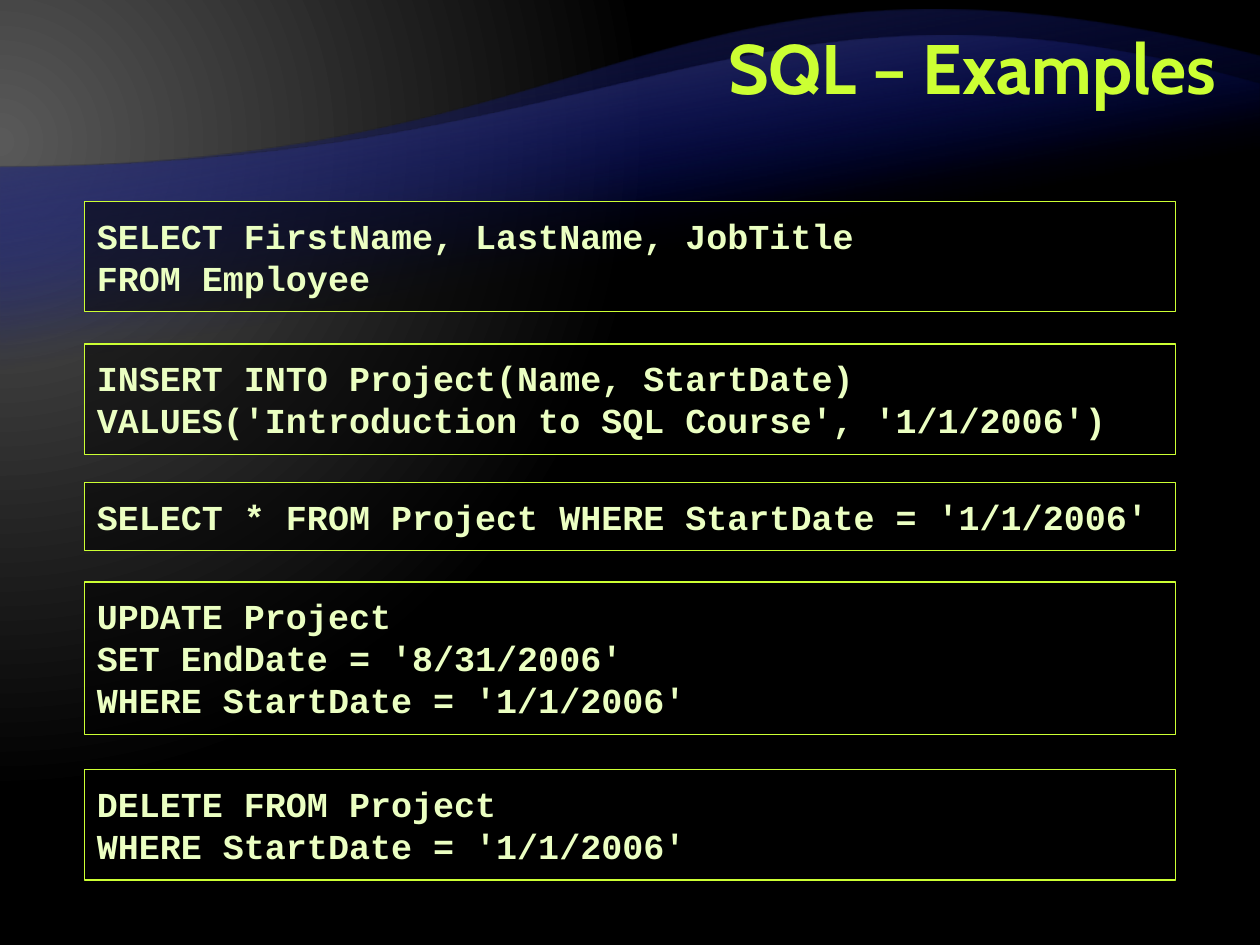
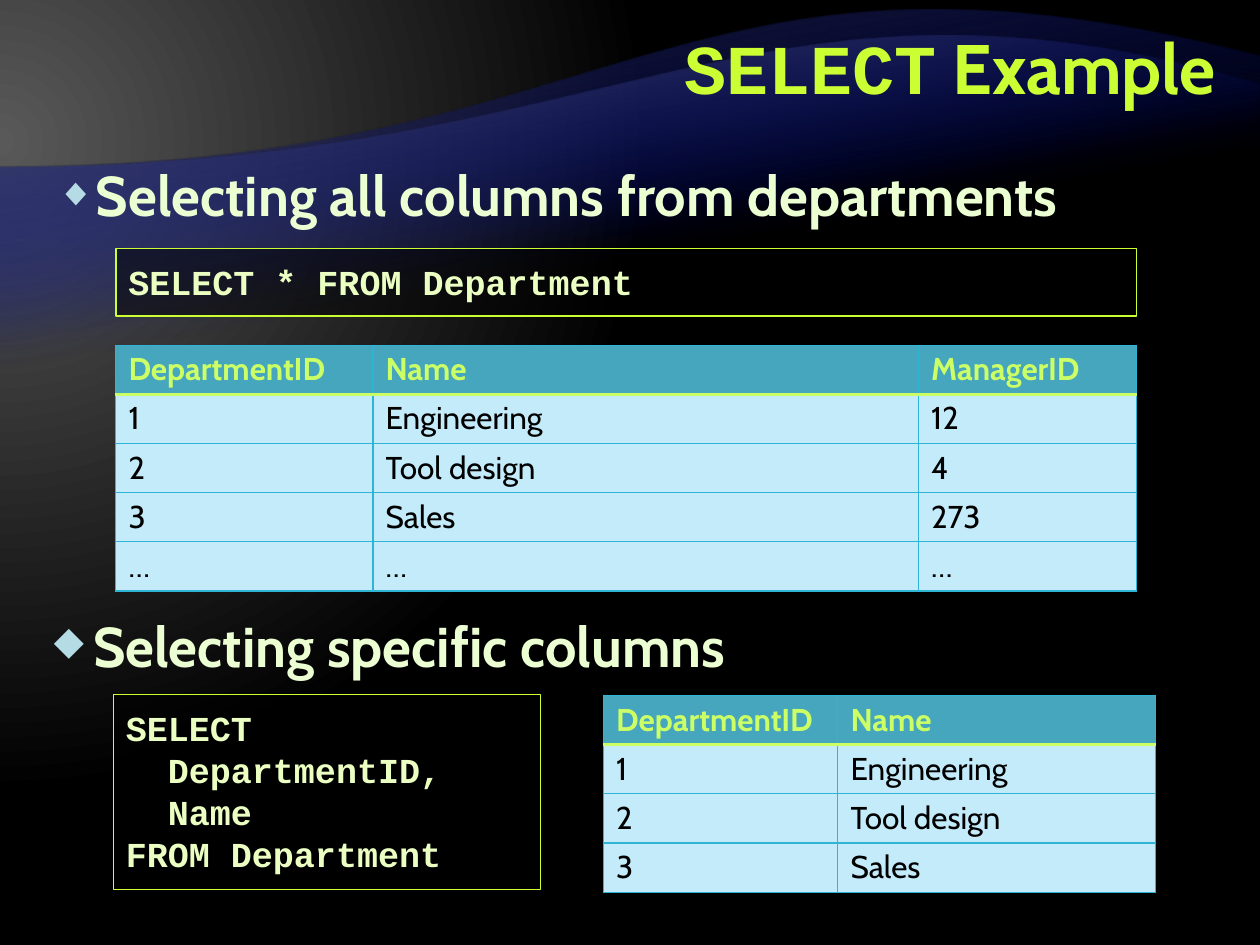
"""Build two slides on SQL statements with python-pptx."""
from lxml import etree
from pptx import Presentation
from pptx.dml.color import RGBColor
from pptx.enum.shapes import MSO_SHAPE
from pptx.enum.text import MSO_ANCHOR, MSO_AUTO_SIZE, PP_ALIGN
from pptx.oxml.ns import qn
from pptx.util import Inches, Pt

RECTANGLE = MSO_SHAPE.RECTANGLE
TOP, MIDDLE = MSO_ANCHOR.TOP, MSO_ANCHOR.MIDDLE
NO_AUTOFIT = MSO_AUTO_SIZE.NONE
LEFT, RIGHT = PP_ALIGN.LEFT, PP_ALIGN.RIGHT

SANS, MONO = "Cabin", "Courier New"
COLORS = {
    "black": "000000", "glow": "595959", "wave": "000D9E", "wave_edge": "262626",
    "title": "CCFF33", "body": "EBFFD2", "bullet": "B5DBE5", "code": "EBFFC2",
    "header": "46A6BD", "header_text": "CCFF66", "cell": "C4EBFA", "grid": "2EB5D5",
}
TITLE_ONLY, TITLE_AND_BODY = 5, 1
CURVE_STEPS = 60


def rgb(name):
    return RGBColor.from_string(COLORS[name])


def add_node(parent, tag, **attributes):
    node = etree.SubElement(parent, qn(tag))
    for key, value in attributes.items():
        node.set(key, str(value))
    return node


def add_color(parent, name, alpha=100):
    color = add_node(parent, "a:srgbClr", val=COLORS[name])
    if alpha < 100:
        add_node(color, "a:alpha", val=alpha * 1000)


def set_gradient(fill, owner, stops):
    """Give the fill these (position, colour, alpha) stops and return its element."""
    fill.gradient()
    gradient = owner.find(".//" + qn("a:gradFill"))
    for child in list(gradient):
        gradient.remove(child)
    stop_list = add_node(gradient, "a:gsLst")
    for position, color, alpha in stops:
        add_color(add_node(stop_list, "a:gs", pos=position * 1000), color, alpha)
    return gradient


def bezier(start, control_1, control_2, end):
    points = []
    for step in range(CURVE_STEPS + 1):
        t = step / CURVE_STEPS
        weights = ((1 - t) ** 3, 3 * t * (1 - t) ** 2, 3 * t * t * (1 - t), t ** 3)
        corners = (start, control_1, control_2, end)
        points.append(tuple(Inches(sum(w * c[axis] for w, c in zip(weights, corners)))
                            for axis in (0, 1)))
    return points


class Deck:
    """Holds the shared style and the current slide."""

    def __init__(self):
        self.prs = Presentation()
        self.prs.slide_width, self.prs.slide_height = Inches(10), Inches(7.5)
        self.slide = None

    def add_slide(self, layout):
        self.slide = self.prs.slides.add_slide(self.prs.slide_layouts[layout])

    def backdrop(self):
        master = self.prs.slide_master
        glow = set_gradient(master.background.fill, master.element,
                            [(0, "glow", 100), (83, "black", 100)])
        center = add_node(glow, "a:path", path="circle")
        add_node(center, "a:fillToRect", l=20000, t=30000, r=135000, b=100000)
        self.wave((5.34, -0.75), 0.45, 6.53, "wave_edge", 2)
        self.wave((5.98, -0.49), 0.67, 5.57, "glow", 3)

    def wave(self, control, right_y, bottom, edge, depth):
        """Draw one wave and move it to the master, behind everything else."""
        crest = bezier((0, 1.33), (5, 1.33), control, (10, right_y))
        builder = self.slide.shapes.build_freeform(*crest[0])
        base = [(Inches(10), Inches(bottom)), (0, Inches(bottom))]
        builder.add_line_segments(crest[1:] + base, close=True)
        wave = builder.convert_to_shape()
        wave.shadow.inherit = False
        wave.line.fill.background()
        gradient = set_gradient(wave.fill, wave.element,
                                [(65, "wave", 0), (100, edge, 100)])
        add_node(gradient, "a:lin", ang=260 * 60000, scaled=0)
        self.prs.slide_master.shapes.element.insert(depth, wave.element)

    def run(self, paragraph, text, size, color, font=SANS, bold=True):
        run = paragraph.add_run()
        run.text = text
        run.font.size, run.font.name, run.font.bold = Pt(size), font, bold
        run.font.color.rgb = rgb(color)

    def place(self, shape, left, top, width, height):
        shape.left, shape.top = Inches(left), Inches(top)
        shape.width, shape.height = Inches(width), Inches(height)

    def title(self, *parts):
        heading = self.slide.shapes.title
        self.place(heading, 2, 0.08, 7.75, 1)
        frame = heading.text_frame
        frame.auto_size, frame.vertical_anchor = NO_AUTOFIT, MIDDLE
        paragraph = frame.paragraphs[0]
        paragraph.alignment, paragraph.line_spacing = RIGHT, Pt(40)
        for text, font in parts:
            self.run(paragraph, text, 40, "title", font)

    def bullet(self, holder, text, left, top):
        self.place(holder, left, top, 9.29, 0.6)
        frame = holder.text_frame
        frame.word_wrap, frame.auto_size = True, NO_AUTOFIT
        paragraph = frame.paragraphs[0]
        properties = paragraph._p.get_or_add_pPr()
        properties.set("marL", str(Inches(0.31)))
        properties.set("indent", str(-Inches(0.31)))
        add_color(add_node(properties, "a:buClr"), "bullet")
        add_node(properties, "a:buSzPct", val=70000)
        add_node(properties, "a:buChar", char="◆")
        paragraph.line_spacing = Pt(38)
        paragraph.space_before, paragraph.space_after = Pt(0), Pt(6)
        self.run(paragraph, text, 32, "body")

    def bullet_box(self, text, left, top):
        box = self.slide.shapes.add_textbox(0, 0, 0, 0)
        self.bullet(box, text, left, top)

    def code(self, lines, left, top, width):
        height = 0.2 + 0.3375 * len(lines)
        box = self.slide.shapes.add_shape(
            RECTANGLE, Inches(left), Inches(top), Inches(width), Inches(height))
        box.shadow.inherit = False
        box.fill.solid()
        box.fill.fore_color.rgb = rgb("black")
        add_node(box.element.spPr.find(".//" + qn("a:srgbClr")), "a:alpha", val=50000)
        box.line.color.rgb, box.line.width = rgb("title"), Pt(0.75)
        frame = box.text_frame
        frame.word_wrap, frame.vertical_anchor = True, TOP
        frame.margin_left = frame.margin_right = Inches(0.1)
        frame.margin_top = frame.margin_bottom = Inches(0.1)
        for index, line in enumerate(lines):
            paragraph = frame.add_paragraph() if index else frame.paragraphs[0]
            paragraph.alignment, paragraph.line_spacing = LEFT, Pt(24)
            self.run(paragraph, line, 20, "code", MONO)

    def table(self, rows, left, top, widths, row_height=0.385):
        frame = self.slide.shapes.add_table(
            len(rows), len(widths), Inches(left), Inches(top),
            Inches(sum(widths)), Inches(row_height * len(rows)))
        grid = frame.table
        grid.horz_banding = False
        for column, width in zip(grid.columns, widths):
            column.width = Inches(width)
        for r, values in enumerate(rows):
            for c, value in enumerate(values):
                self.cell(grid.cell(r, c), value, r)

    def cell(self, cell, value, row):
        header = row == 0
        properties = cell._tc.get_or_add_tcPr()
        for side in "LRTB":
            accent = (row, side) in ((0, "B"), (1, "T"))
            border = add_node(properties, f"a:ln{side}", w=Pt(2 if accent else 0.75))
            add_color(add_node(border, "a:solidFill"),
                      "header_text" if accent else "grid")
        cell.fill.solid()
        cell.fill.fore_color.rgb = rgb("header" if header else "cell")
        paragraph = cell.text_frame.paragraphs[0]
        paragraph.line_spacing = 0.95
        self.run(paragraph, value, 18, "header_text" if header else "black", bold=header)


def examples_slide(deck):
    deck.title(("SQL – Examples", SANS))
    statements = [
        (1.6, ["SELECT FirstName, LastName, JobTitle", "FROM Employee"]),
        (2.73, ["INSERT INTO Project(Name, StartDate)",
                "VALUES('Introduction to SQL Course', '1/1/2006')"]),
        (3.83, ["SELECT * FROM Project WHERE StartDate = '1/1/2006'"]),
        (4.62, ["UPDATE Project", "SET EndDate = '8/31/2006'",
                "WHERE StartDate = '1/1/2006'"]),
        (6.11, ["DELETE FROM Project", "WHERE StartDate = '1/1/2006'"]),
    ]
    for top, lines in statements:
        deck.code(lines, 0.67, top, 8.66)


def select_slide(deck):
    deck.title(("SELECT", MONO), (" Example", SANS))
    departments = [
        ("DepartmentID", "Name", "ManagerID"),
        ("1", "Engineering", "12"),
        ("2", "Tool design", "4"),
        ("3", "Sales", "273"),
        ("…", "…", "…"),
    ]
    deck.bullet(deck.slide.placeholders[1], "Selecting all columns from departments",
                0.35, 1.23)
    deck.code(["SELECT * FROM Department"], 0.92, 1.97, 8.1)
    deck.table(departments, 0.92, 2.74, (2.04, 4.33, 1.73))
    deck.bullet_box("Selecting specific columns", 0.33, 4.81)
    deck.code(["SELECT", "  DepartmentID,", "  Name", "FROM Department"], 0.9, 5.51, 3.39)
    deck.table([row[:2] for row in departments[:4]], 4.79, 5.52, (1.86, 2.52))


def main():
    deck = Deck()
    deck.add_slide(TITLE_ONLY)
    deck.backdrop()
    examples_slide(deck)
    deck.add_slide(TITLE_AND_BODY)
    select_slide(deck)
    deck.prs.save("out.pptx")


if __name__ == "__main__":
    main()
